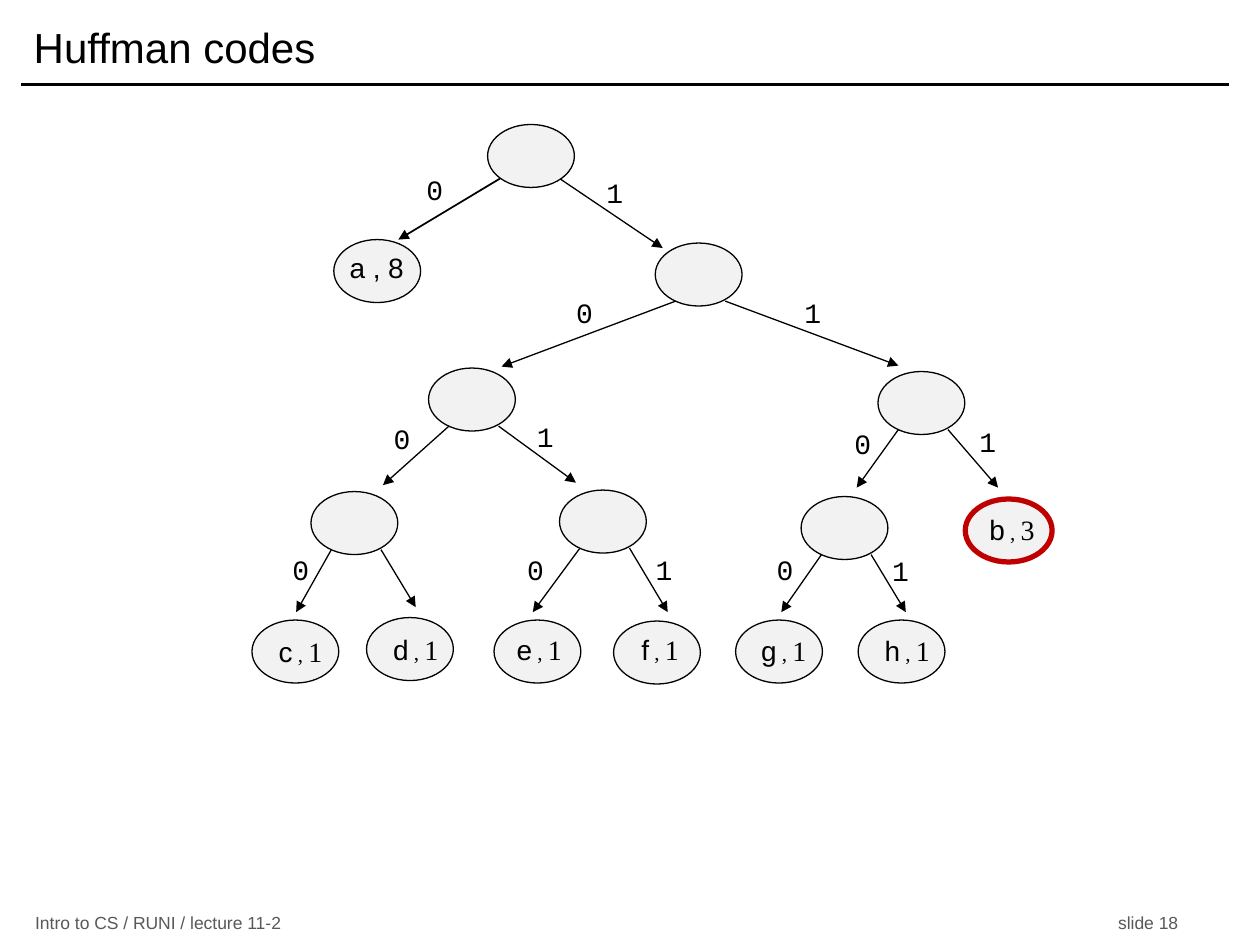
from dataclasses import dataclass
from typing import Optional

from lxml.etree import SubElement
from pptx import Presentation
from pptx.dml.color import RGBColor
from pptx.enum.shapes import MSO_CONNECTOR as Link, MSO_SHAPE as Shape
from pptx.enum.text import MSO_ANCHOR as Anchor, PP_ALIGN as Align
from pptx.oxml.ns import qn
from pptx.util import Cm, Pt

Point = tuple[float, float]
WIDE, HIGH = 1.75, 1.27
BLACK, GREY, RED, PALE = "000000", "595959", "C00000", "F2F2F2"


@dataclass
class Edge:
    top: str
    side: int
    tip: Point
    spot: Optional[Point] = None
    width: float = 0.75


@dataclass
class Node:
    x: float
    y: float
    edge: Optional[Edge] = None
    feet: tuple[float, float] = (0.41, 1.41)
    drop: float = 1.17
    line: str = BLACK
    width: float = 0.75


@dataclass
class Leaf:
    name: str
    count: str
    mid: float
    top: float


TREE = {
    "root": Node(9.83, 2.51, feet=(0.25, 1.45), drop=1.09),
    "a": Node(6.73, 4.83, Edge("root", 0, (8.03, 4.83), (8.36, 3.35), 1)),
    "1": Node(13.21, 4.9, Edge("root", 1, (13.36, 5), (11.99, 3.4))),
    "10": Node(8.64, 7.42, Edge("1", 0, (10.11, 7.39), (11.38, 5.82))),
    "11": Node(17.7, 7.49, Edge("1", 1, (18.11, 7.37), (15.98, 5.82))),
    "100": Node(6.27, 9.91, Edge("10", 0, (7.72, 9.78), (7.7, 8.36))),
    "101": Node(11.28, 9.88, Edge("10", 1, (11.61, 9.73), (10.59, 8.33))),
    "110": Node(16.15, 10.01, Edge("11", 0, (17.27, 9.83), (16.99, 8.46))),
    "b": Node(19.46, 10.06, Edge("11", 1, (20.12, 9.83), (19.51, 8.43)),
              line=RED, width=3),
    "c": Node(5.08, 12.5, Edge("100", 0, (5.97, 12.34), (5.66, 11))),
    "d": Node(7.39, 12.45, Edge("100", 1, (8.38, 12.24))),
    "e": Node(9.96, 12.5, Edge("101", 0, (10.74, 12.34), (10.39, 11))),
    "f": Node(12.37, 12.52, Edge("101", 1, (13.46, 12.34), (12.98, 11))),
    "g": Node(14.83, 12.5, Edge("110", 0, (15.75, 12.34), (15.42, 11))),
    "h": Node(17.3, 12.5, Edge("110", 1, (18.26, 12.34), (17.75, 11.02))),
}
LEAVES = [
    Leaf("b", "3", 20.4, 10.21),
    Leaf("c", "1", 6.06, 12.67),
    Leaf("d", "1", 8.38, 12.62),
    Leaf("e", "1", 10.87, 12.62),
    Leaf("f", "1", 13.31, 12.62),
    Leaf("g", "1", 15.8, 12.65),
    Leaf("h", "1", 18.29, 12.65),
]


def hue(code: str) -> RGBColor:
    return RGBColor.from_string(code)


def write(para, text: str, *, size: float = 16, font: str = "Arial",
          color: str = BLACK) -> None:
    run = para.add_run()
    run.text = text
    run.font.size = Pt(size)
    run.font.name = font
    run.font.color.rgb = hue(color)


def add_box(slide, x: float, y: float, w: float, h: float, *,
            align=Align.CENTER, pad: float = 0.25, wrap: bool = False,
            anchor=Anchor.TOP):
    frame = slide.shapes.add_textbox(Cm(x), Cm(y), Cm(w), Cm(h)).text_frame
    frame.margin_left = frame.margin_right = Cm(pad)
    frame.margin_top = frame.margin_bottom = Cm(0.13)
    frame.word_wrap = wrap
    frame.vertical_anchor = anchor
    para = frame.paragraphs[0]
    para.alignment = align
    return para


def add_line(slide, start: Point, end: Point, width: float,
             arrow: bool = True) -> None:
    line = slide.shapes.add_connector(
        Link.STRAIGHT, *(Cm(v) for v in (*start, *end)))
    line.line.color.rgb = hue(BLACK)
    line.line.width = Pt(width)
    if arrow:
        SubElement(line.line._get_or_add_ln(), qn("a:tailEnd"), type="triangle")
    SubElement(line._element.spPr, qn("a:effectLst"))


def add_edge(slide, edge: Edge) -> None:
    top = TREE[edge.top]
    start = (top.x + top.feet[edge.side], top.y + top.drop)
    add_line(slide, start, edge.tip, edge.width)


def add_bit(slide, edge: Edge) -> None:
    if edge.spot:
        para = add_box(slide, *edge.spot, 0.81, 0.94, pad=0, wrap=True)
        write(para, str(edge.side), font="Courier New")


def add_node(slide, node: Node) -> None:
    oval = slide.shapes.add_shape(
        Shape.OVAL, Cm(node.x), Cm(node.y), Cm(WIDE), Cm(HIGH))
    oval.shadow.inherit = False
    oval.fill.solid()
    oval.fill.fore_color.rgb = hue(PALE)
    oval.line.color.rgb = hue(node.line)
    oval.line.width = Pt(node.width)


def add_leaf(slide, leaf: Leaf) -> None:
    para = add_box(slide, leaf.mid - 0.71, leaf.top, 1.42, 0.94)
    write(para, leaf.name)
    write(para, " , ", size=12, font="Times New Roman")
    write(para, leaf.count, font="Times New Roman")


def main() -> None:
    deck = Presentation()
    deck.slide_width, deck.slide_height = Cm(25.4), Cm(19.05)
    slide = deck.slides.add_slide(deck.slide_layouts[6])

    add_line(slide, (0.43, 1.7), (24.77, 1.7), 2, arrow=False)
    title = add_box(slide, 0.43, 0.2, 24.33, 1.47, align=Align.LEFT,
                    wrap=True, anchor=Anchor.MIDDLE)
    write(title, "Huffman codes", size=24)
    for text, x, w, align in (
            ("Intro to CS / RUNI / lecture 11-2", 0.46, 8, Align.LEFT),
            ("slide 18", 21, 3, Align.RIGHT)):
        foot = add_box(slide, x, 18.25, w, 0.7, align=align, wrap=True,
                       anchor=Anchor.MIDDLE)
        write(foot, text, size=10, color=GREY)

    edges = [node.edge for node in TREE.values() if node.edge]
    for edge in edges:
        add_edge(slide, edge)
    for node in TREE.values():
        add_node(slide, node)
    for edge in edges:
        add_bit(slide, edge)
    write(add_box(slide, 6.78, 4.93, 1.63, 0.94), "a , 8")
    for leaf in LEAVES:
        add_leaf(slide, leaf)

    deck.save("out.pptx")


if __name__ == "__main__":
    main()
